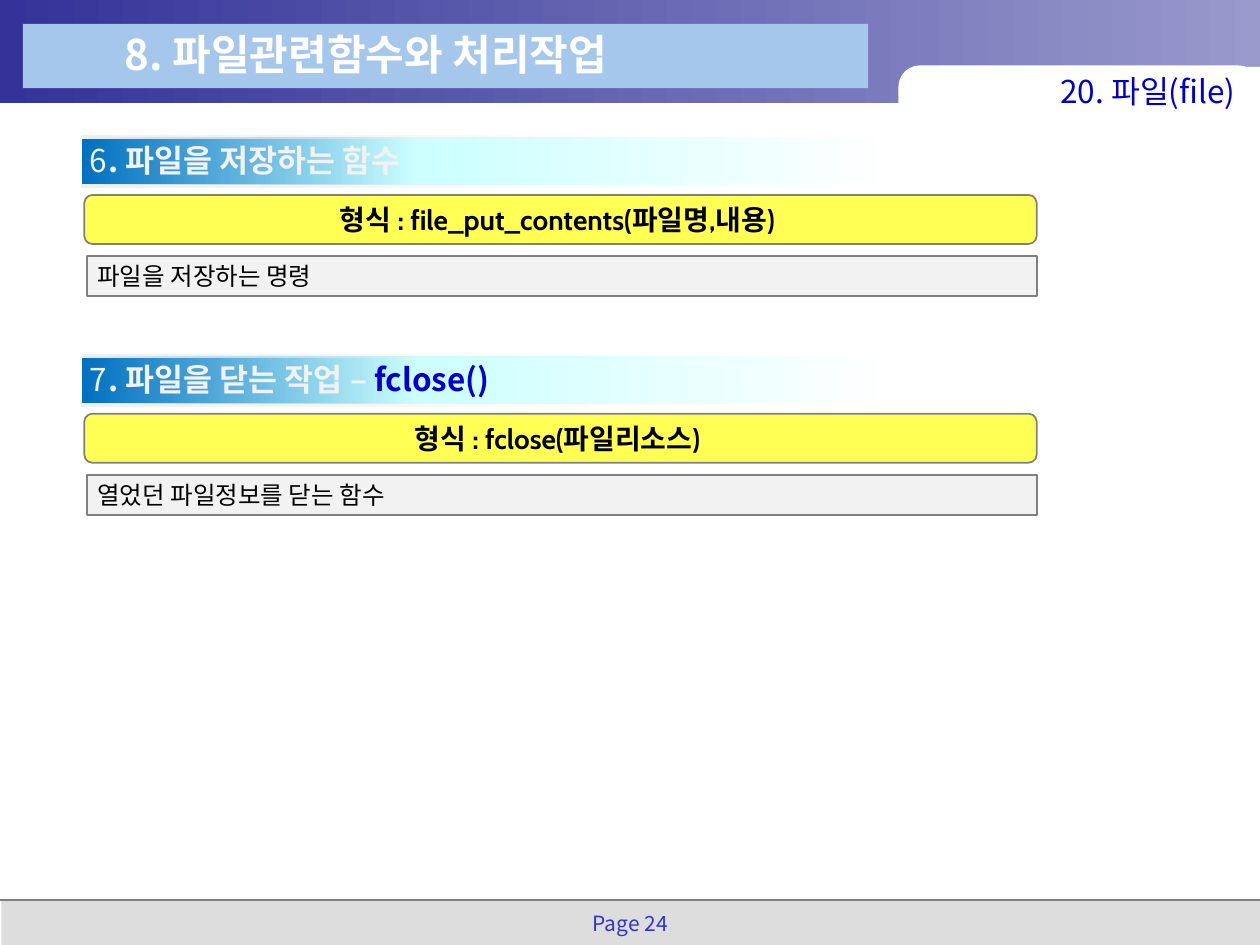
from dataclasses import dataclass

import lxml.etree
import pptx
import pptx.dml.color
import pptx.enum.shapes
import pptx.enum.text
import pptx.oxml.ns
import pptx.util

Cm = pptx.util.Cm
RGBColor = pptx.dml.color.RGBColor
Preset = pptx.enum.shapes.MSO_SHAPE
Align = pptx.enum.text.PP_ALIGN
Anchor = pptx.enum.text.MSO_ANCHOR
qn = pptx.oxml.ns.qn

KOREAN_FONT = "Noto Sans CJK KR"
LATIN_FONT = "Cabin"

WHITE = RGBColor(0xFF, 0xFF, 0xFF)
BLACK = RGBColor(0x00, 0x00, 0x00)
GRAY = RGBColor(0x80, 0x80, 0x80)
FOOTER_GRAY = RGBColor(0xDD, 0xDD, 0xDD)
PALE_GRAY = RGBColor(0xF2, 0xF2, 0xF2)
EDGE_START = RGBColor(0xF0, 0xF0, 0xF0)
EDGE_END = RGBColor(0xEA, 0xEA, 0xEA)
NAVY = RGBColor(0x33, 0x33, 0x99)
LAVENDER = RGBColor(0x99, 0x99, 0xCC)
TITLE_BLUE = RGBColor(0xA6, 0xC7, 0xEC)
PAGE_BLUE = RGBColor(0x33, 0x33, 0xCC)
BLUE = RGBColor(0x00, 0x00, 0xCC)
HEADING_BLUE = RGBColor(0x00, 0x70, 0xC0)
HEADING_CYAN = RGBColor(0xCC, 0xFF, 0xFF)
YELLOW = RGBColor(0xFF, 0xFF, 0x00)


@dataclass
class Box:
    left: float
    top: float
    width: float
    height: float

    def lengths(self) -> list:
        return [Cm(v) for v in (self.left, self.top, self.width, self.height)]


@dataclass
class Stop:
    percent: int
    color: RGBColor
    alpha: int = 100


@dataclass
class Run:
    text: str
    color: RGBColor
    bold: bool = False
    shadow: bool = False
    spacing: int = 0


@dataclass
class Section:
    heading: list
    syntax: str
    description: str


HEADER_STOPS = [Stop(0, NAVY), Stop(100, LAVENDER)]
HEADING_STOPS = [Stop(0, HEADING_BLUE), Stop(40, HEADING_CYAN), Stop(97, WHITE)]
EDGE_STOPS = [Stop(0, EDGE_START), Stop(100, EDGE_END, 0)]

SECTIONS = [
    Section(
        [Run(" 6", PALE_GRAY, spacing=100),
         Run(". 파일을 저장하는 함수", PALE_GRAY, True, True)],
        "형식 : file_put_contents(파일명,내용) ",
        " 파일을 저장하는 명령",
    ),
    Section(
        [Run(" 7", PALE_GRAY, spacing=100),
         Run(". 파일을 닫는 작업 – ", PALE_GRAY, True, True),
         Run("fclose()", BLUE, True, True)],
        "형식 : fclose(파일리소스) ",
        " 열었던 파일정보를 닫는 함수",
    ),
]
SECTION_TOP, SECTION_PITCH = 2.77, 4.41


def add_color(parent, color: RGBColor, alpha: int = 100) -> None:
    element = lxml.etree.SubElement(parent, qn("a:srgbClr"), val=str(color))
    if alpha < 100:
        lxml.etree.SubElement(element, qn("a:alpha"), val=str(alpha * 1000))


def add_panel(slide, box: Box, fill, preset=Preset.RECTANGLE, outlined=False,
              alpha: int = 100):
    """Draw a preset shape; fill is a colour or a list of gradient stops."""
    shape = slide.shapes.add_shape(preset, *box.lengths())
    shape.shadow.inherit = False
    if isinstance(fill, list):
        shape.fill.gradient()
        shape.fill.gradient_angle = 0
        stop_list = shape._element.spPr.find(".//" + qn("a:gsLst"))
        stop_list.clear()
        for stop in fill:
            element = lxml.etree.SubElement(
                stop_list, qn("a:gs"), pos=str(stop.percent * 1000))
            add_color(element, stop.color, stop.alpha)
    else:
        shape.fill.solid()
        shape.fill.fore_color.rgb = fill
        if alpha < 100:
            color = shape._element.spPr.find(".//" + qn("a:srgbClr"))
            lxml.etree.SubElement(color, qn("a:alpha"), val=str(alpha * 1000))
    if outlined:
        shape.line.color.rgb = GRAY
        shape.line.width = pptx.util.Pt(1)
    else:
        shape.line.fill.background()
    return shape


def write_text(shape, runs: list, *, size: int, font: str = KOREAN_FONT,
               align=Align.LEFT, anchor=Anchor.TOP, inset: float = None,
               line_spacing: float = None, grow: bool = True) -> None:
    frame = shape.text_frame
    frame.word_wrap = True
    frame.vertical_anchor = anchor
    if grow:
        frame.auto_size = pptx.enum.text.MSO_AUTO_SIZE.SHAPE_TO_FIT_TEXT
    if inset is not None:
        frame.margin_left = frame.margin_right = Cm(inset)
        frame.margin_top = frame.margin_bottom = Cm(inset)
    paragraph = frame.paragraphs[0]
    paragraph.alignment = align
    if line_spacing:
        paragraph.line_spacing = line_spacing
    for item in runs:
        run = paragraph.add_run()
        run.text = item.text
        run.font.size = pptx.util.Pt(size)
        run.font.bold = item.bold
        run.font.color.rgb = item.color
        properties = run.font._element
        if item.spacing:
            properties.set("spc", str(item.spacing))
        if item.shadow:
            effects = lxml.etree.SubElement(properties, qn("a:effectLst"))
            shadow = lxml.etree.SubElement(
                effects, qn("a:outerShdw"), dist="25400", dir="2700000")
            add_color(shadow, BLACK)
        run.font.name = font
        lxml.etree.SubElement(properties, qn("a:ea"), typeface=KOREAN_FONT)


def add_text(slide, box: Box, runs: list, **text_format) -> None:
    write_text(slide.shapes.add_textbox(*box.lengths()), runs, **text_format)


def draw_frame(slide) -> None:
    # Footer and header bands
    add_panel(slide, Box(0.03, 18.14, 25.37, 0.91), FOOTER_GRAY)
    add_panel(slide, Box(0, 0, 25.4, 2.08), HEADER_STOPS)
    rule = slide.shapes.add_connector(
        pptx.enum.shapes.MSO_CONNECTOR.STRAIGHT, Cm(0), Cm(18.14), Cm(25.4), Cm(18.14))
    rule.line.color.rgb = GRAY
    rule.line.width = pptx.util.Pt(1)
    lxml.etree.SubElement(rule._element.spPr, qn("a:effectLst"))

    # Chapter tab and title bar
    tab = add_panel(slide, Box(18.11, 1.32, 7.29, 1.5), WHITE, Preset.ROUNDED_RECTANGLE)
    tab.adjustments[0] = 0.29
    add_panel(slide, Box(23.11, 1.35, 2.29, 0.61), WHITE)
    add_panel(slide, Box(0.46, 0.48, 17.04, 1.3), TITLE_BLUE)

    # Page number, title and chapter name
    add_text(slide, Box(11.56, 18.29, 2.29, 0.71), [Run("Page 24", PAGE_BLUE)],
             size=12, align=Align.CENTER, line_spacing=0.9, grow=False)
    add_text(slide, Box(2.26, 0.46, 12.62, 1.27),
             [Run("8. 파일관련함수와 처리작업", WHITE, True)], size=24)
    add_text(slide, Box(18.29, 1.35, 6.86, 0.97), [Run("20. 파일(file) ", BLUE)],
             size=18, align=Align.RIGHT, anchor=Anchor.MIDDLE, inset=0.1)


def draw_section(slide, section: Section, top: float) -> None:
    # Heading band with thin edges
    add_panel(slide, Box(1.65, top, 16.94, 0.97), HEADING_STOPS)
    for edge_top in (top - 0.03, top + 0.96):
        add_panel(slide, Box(1.65, edge_top, 10.69, 0.05), EDGE_STOPS)
    add_text(slide, Box(1.37, top - 0.05, 17.02, 1.02), section.heading, size=18)

    # Syntax and description
    syntax = add_panel(slide, Box(1.7, top + 1.16, 19.2, 0.99), YELLOW,
                       Preset.ROUNDED_RECTANGLE, outlined=True, alpha=67)
    write_text(syntax, [Run(section.syntax, BLACK, True)], size=16, font=LATIN_FONT,
               align=Align.CENTER, anchor=Anchor.MIDDLE, inset=0.1)
    description = add_panel(slide, Box(1.75, top + 2.39, 19.15, 0.81), PALE_GRAY,
                            outlined=True)
    write_text(description, [Run(section.description, BLACK)], size=14,
               anchor=Anchor.MIDDLE, inset=0.1)


def main() -> None:
    presentation = pptx.Presentation()
    presentation.slide_width, presentation.slide_height = Cm(25.4), Cm(19.05)
    slide = presentation.slides.add_slide(presentation.slide_layouts[6])
    draw_frame(slide)
    for index, section in enumerate(SECTIONS):
        draw_section(slide, section, SECTION_TOP + index * SECTION_PITCH)
    presentation.save("out.pptx")


if __name__ == "__main__":
    main()
